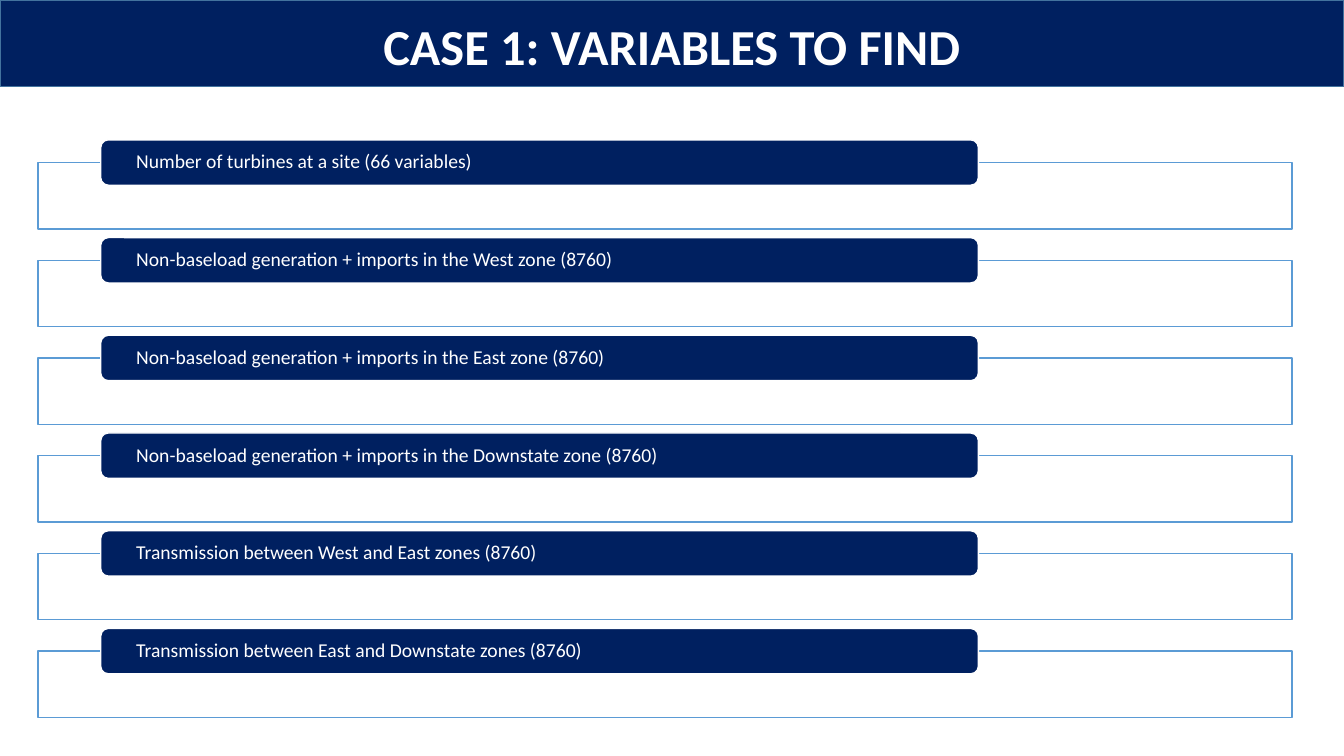
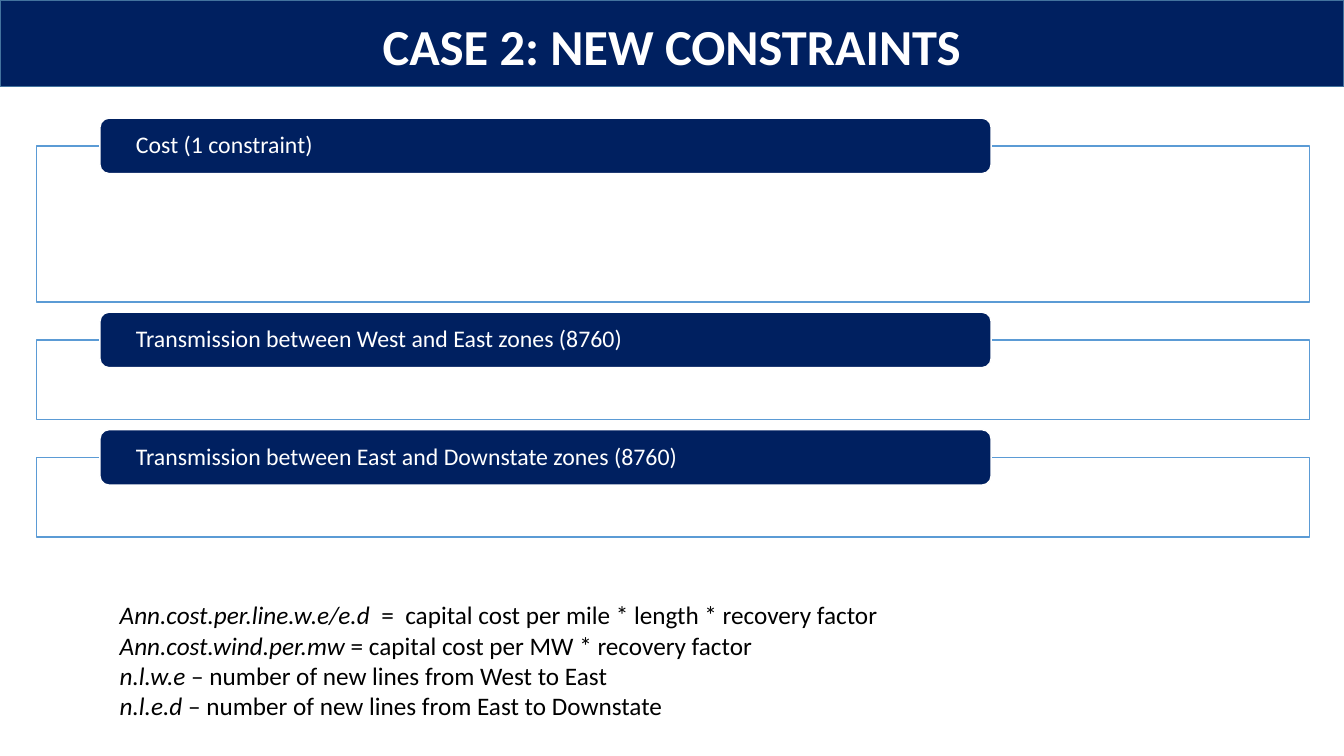
from dataclasses import dataclass

from pptx import Presentation
from pptx.dml.color import RGBColor
from pptx.enum.shapes import MSO_SHAPE as Shape
from pptx.enum.text import MSO_ANCHOR as Anchor, MSO_AUTO_SIZE as AutoSize, PP_ALIGN as Align
from pptx.util import Pt


@dataclass(frozen=True)
class Theme:
    font: str = "Calibri"
    navy: RGBColor = RGBColor(0x00, 0x20, 0x60)
    band_edge: RGBColor = RGBColor(0x43, 0x73, 0x9E)
    frame_edge: RGBColor = RGBColor(0x5B, 0x9B, 0xD5)
    white: RGBColor = RGBColor(0xFF, 0xFF, 0xFF)
    black: RGBColor = RGBColor(0x00, 0x00, 0x00)
    title_size: float = 36
    definition_size: float = 18


THEME = Theme()
SLIDE_WIDTH, SLIDE_HEIGHT = 960, 540
BAND_HEIGHT = 62

VARIABLES = [
    "Number of turbines at a site (66 variables)",
    "Non-baseload generation + imports in the West zone (8760)",
    "Non-baseload generation + imports in the East zone (8760)",
    "Non-baseload generation + imports in the Downstate zone (8760)",
    "Transmission between West and East zones (8760)",
    "Transmission between East and Downstate zones (8760)",
]
CONSTRAINTS = [
    ("Cost (1 constraint)", 111.6),
    ("Transmission between West and East zones (8760)", 56.9),
    ("Transmission between East and Downstate zones (8760)", 56.9),
]
DEFINITIONS = [
    ("Ann.cost.per.line.w.e/e.d  ", "=  capital cost per mile * length * recovery factor"),
    ("Ann.cost.wind.per.mw ", "= capital cost per MW * recovery factor"),
    ("n.l.w.e", " – number of new lines from West to East"),
    ("n.l.e.d", " – number of new lines from East to Downstate"),
]


def add_run(paragraph, text, size, color, bold=False, italic=False):
    run = paragraph.add_run()
    run.text = text
    font = run.font
    font.name, font.size = THEME.font, Pt(size)
    font.bold, font.italic = bold, italic
    font.color.rgb = color


def paint(shape, fill, edge):
    shape.fill.solid()
    shape.fill.fore_color.rgb = fill
    shape.line.color.rgb = edge
    shape.line.width = Pt(1)


def add_block(slide, kind, left, top, width, height, fill, edge):
    block = slide.shapes.add_shape(kind, Pt(left), Pt(top), Pt(width), Pt(height))
    block.shadow.inherit = False
    paint(block, fill, edge)
    return block


def add_titled_slide(deck, title):
    """Add a slide whose title placeholder is the navy band."""
    slide = deck.slides.add_slide(deck.slide_layouts[5])
    band = slide.shapes.title
    band.left, band.top = Pt(0), Pt(0)
    band.width, band.height = Pt(SLIDE_WIDTH), Pt(BAND_HEIGHT)
    paint(band, THEME.navy, THEME.band_edge)
    frame = band.text_frame
    frame.auto_size = AutoSize.NONE
    frame.vertical_anchor = Anchor.TOP
    frame.margin_top, frame.margin_bottom = Pt(10.8), Pt(0)
    paragraph = frame.paragraphs[0]
    paragraph.alignment = Align.CENTER
    add_run(paragraph, title, THEME.title_size, THEME.white, bold=True)
    return slide


def add_label(slide, text, left, top, width, height, size):
    label = add_block(slide, Shape.ROUNDED_RECTANGLE, left, top, width, height,
                      THEME.navy, THEME.white)
    frame = label.text_frame
    frame.word_wrap = True
    frame.vertical_anchor = Anchor.MIDDLE
    frame.margin_left = frame.margin_right = Pt(23.8)
    frame.margin_top = frame.margin_bottom = Pt(0)
    paragraph = frame.paragraphs[0]
    paragraph.alignment = Align.LEFT
    paragraph.line_spacing = 0.9
    add_run(paragraph, text, size, THEME.white)


def add_labelled_frames(slide, items, left, top, width, gap, label_height, size):
    """Stack frames, each with a label centred on its top edge."""
    for text, height in items:
        add_block(slide, Shape.RECTANGLE, left, top, width, height,
                  THEME.white, THEME.frame_edge)
        add_label(slide, text, left + 0.05 * width, top - label_height / 2,
                  0.7 * width, label_height, size)
        top += height + gap


def add_definitions(slide, definitions, left, top, width, height):
    box = slide.shapes.add_textbox(Pt(left), Pt(top), Pt(width), Pt(height))
    frame = box.text_frame
    frame.word_wrap = True
    for index, (term, meaning) in enumerate(definitions):
        paragraph = frame.add_paragraph() if index else frame.paragraphs[0]
        add_run(paragraph, term, THEME.definition_size, THEME.black, italic=True)
        add_run(paragraph, meaning, THEME.definition_size, THEME.black)


def main():
    deck = Presentation()
    deck.slide_width, deck.slide_height = Pt(SLIDE_WIDTH), Pt(SLIDE_HEIGHT)

    # Case 1: variables
    variables = add_titled_slide(deck, "CASE 1: VARIABLES TO FIND")
    add_labelled_frames(variables, [(text, 47.4) for text in VARIABLES],
                        left=27.2, top=116.1, width=895.6, gap=22.4,
                        label_height=32.4, size=14)

    # Case 2: constraints and the terms they use
    constraints = add_titled_slide(deck, "CASE 2: NEW CONSTRAINTS")
    add_labelled_frames(constraints, CONSTRAINTS,
                        left=25.9, top=104.2, width=909.4, gap=27,
                        label_height=39.6, size=17)
    add_definitions(constraints, DEFINITIONS, left=78.4, top=424.8, width=738, height=94.4)

    deck.save("out.pptx")


if __name__ == "__main__":
    main()
